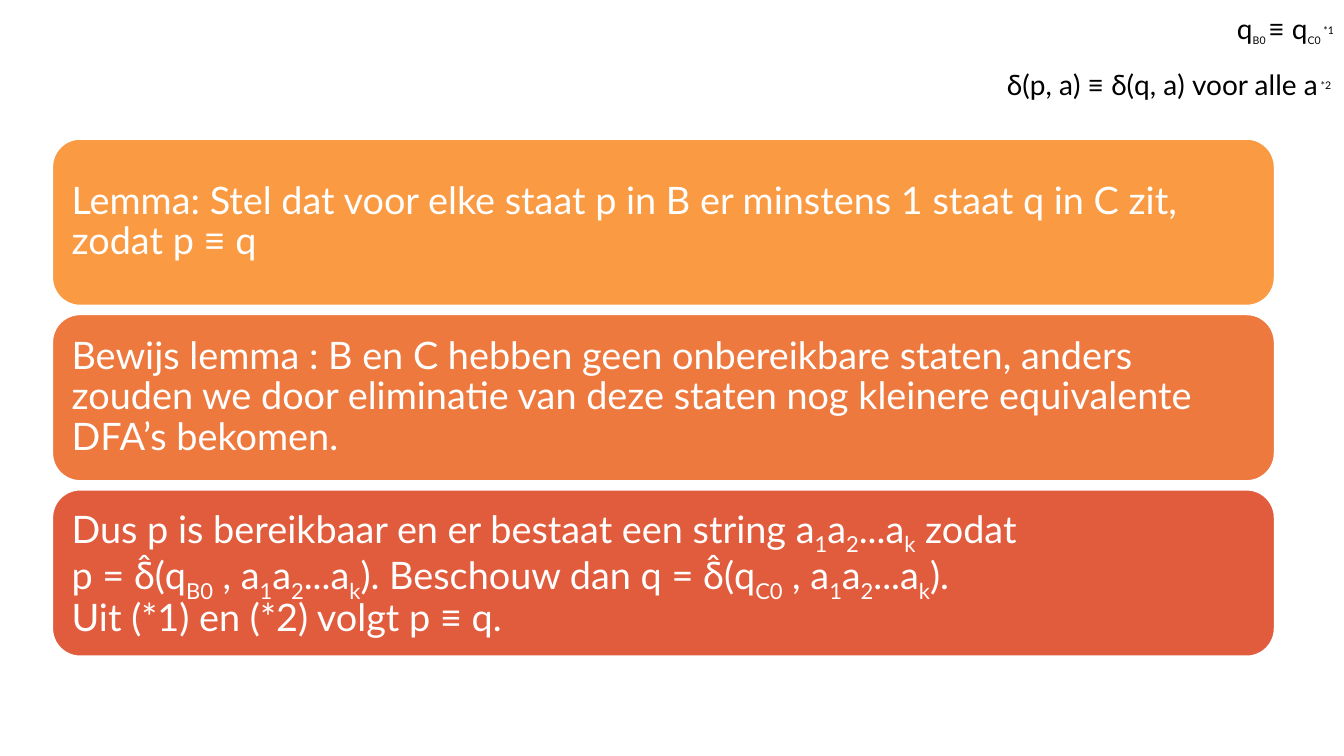
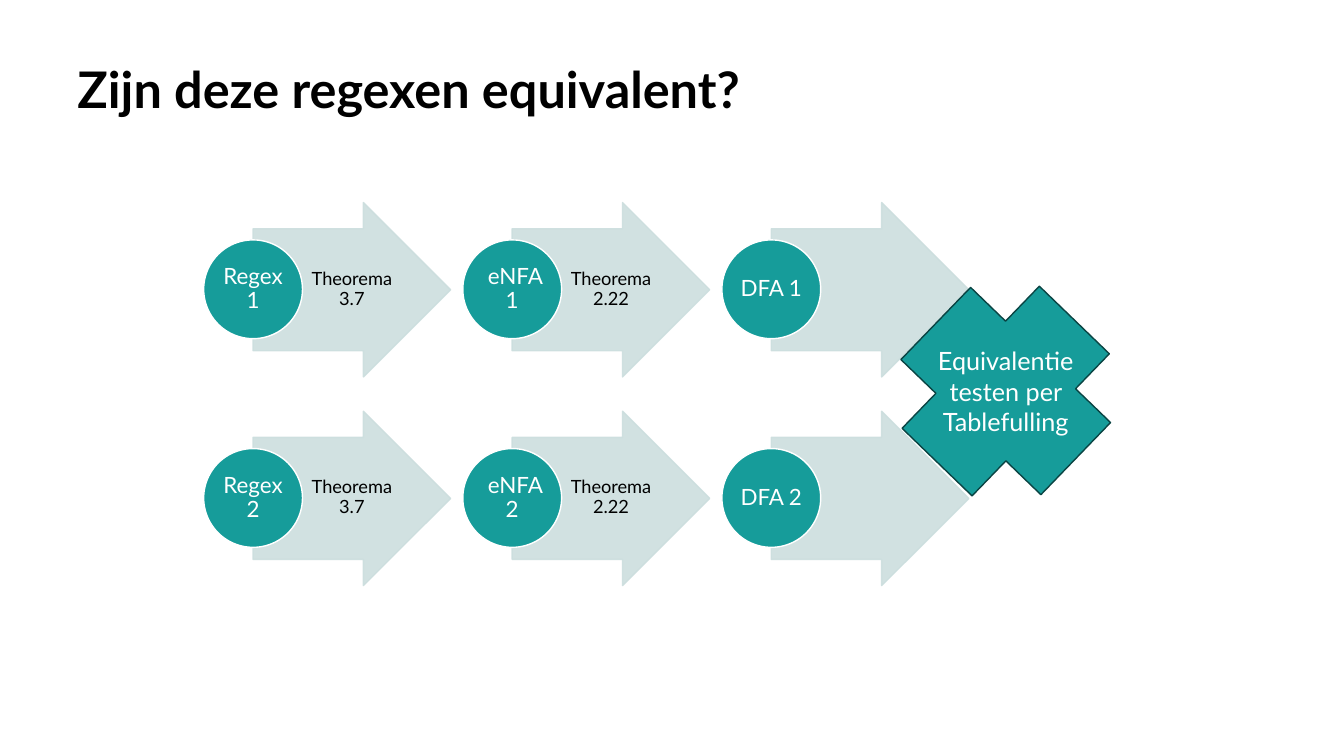
from lxml import etree
from pptx import Presentation
from pptx.dml.color import RGBColor
from pptx.enum.shapes import MSO_SHAPE
from pptx.enum.text import MSO_ANCHOR, PP_ALIGN
from pptx.oxml.ns import qn
from pptx.util import Inches, Pt

LEFT, CENTER, RIGHT = PP_ALIGN.LEFT, PP_ALIGN.CENTER, PP_ALIGN.RIGHT
TOP, MIDDLE = MSO_ANCHOR.TOP, MSO_ANCHOR.MIDDLE
ROUNDED, OVAL = MSO_SHAPE.ROUNDED_RECTANGLE, MSO_SHAPE.OVAL
ARROW, CROSS = MSO_SHAPE.RIGHT_ARROW, MSO_SHAPE.CROSS

FONT = "Lato"
COLORS = {
    "black": "000000",
    "white": "FFFFFF",
    "lemma": "FA9A42",
    "proof": "EE793F",
    "conclusion": "E15C3D",
    "teal": "169C9A",
    "dark_teal": "0A4443",
    "pale_teal": "CCDEDE",
}


def rgb(name):
    return RGBColor.from_string(COLORS[name])


def write_text(frame, *paragraphs, size, color="black", bold=False, align=LEFT,
               anchor=TOP, insets=(0.1, 0.05, 0.1, 0.05), spacing=0.9,
               before=0, script_size=None):
    frame.word_wrap = True
    frame.vertical_anchor = anchor
    frame.margin_left, frame.margin_top, frame.margin_right, frame.margin_bottom = map(Inches, insets)
    for index, content in enumerate(paragraphs):
        paragraph = frame.paragraphs[0] if index == 0 else frame.add_paragraph()
        paragraph.alignment = align
        paragraph.line_spacing = spacing
        paragraph.space_before = Pt(before)
        for line_number, line in enumerate(content.split("\n")):
            if line_number:
                paragraph.add_line_break()
            for position, chunk in enumerate(line.split("~")):
                if not chunk:
                    continue
                is_script = position % 2 == 1
                run = paragraph.add_run()
                run.text = chunk.lstrip("^")
                run.font.name = FONT
                run.font.size = Pt(script_size if is_script and script_size else size)
                run.font.bold = bold
                run.font.color.rgb = rgb(color)
                if is_script:
                    baseline = "30000" if chunk.startswith("^") else "-25000"
                    run.font._element.set("baseline", baseline)


class Deck:
    def __init__(self):
        self.presentation = Presentation()
        self.presentation.slide_width = Inches(13.33)
        self.presentation.slide_height = Inches(7.5)
        self.slide = None

    def new_slide(self):
        self.slide = self.presentation.slides.add_slide(self.presentation.slide_layouts[6])

    def text(self, box, *paragraphs, **style):
        caption = self.slide.shapes.add_textbox(*map(Inches, box))
        write_text(caption.text_frame, *paragraphs, **style)

    def title(self, wording):
        self.text((0.67, 0.6, 11.65, 1.24), wording, size=36, bold=True)

    def shape(self, preset, box, fill, line="white", opacity=None):
        figure = self.slide.shapes.add_shape(preset, *map(Inches, box))
        figure.shadow.inherit = False
        figure.fill.solid()
        figure.fill.fore_color.rgb = rgb(fill)
        figure.line.color.rgb = rgb(line)
        figure.line.width = Pt(1)
        if opacity:
            for color in figure._element.spPr.iter(qn("a:srgbClr")):
                etree.SubElement(color, qn("a:alpha")).set("val", str(opacity * 1000))
        return figure

    def panel(self, top, fill, statement):
        panel = self.shape(ROUNDED, (0.52, top, 12.12, 1.65), fill)
        write_text(panel.text_frame, statement, size=27, color="white",
                   anchor=MIDDLE, insets=(0.11,) * 4)

    def step(self, left, top, state, theorem):
        arrow = self.shape(ARROW, (left + 0.49, top, 1.96, 1.73), "pale_teal",
                           line="pale_teal", opacity=90)
        arrow.adjustments[0] = 0.7
        arrow.adjustments[1] = 0.5
        if theorem:
            self.text((left + 0.98, top + 0.26, 0.96, 1.2), theorem, size=13,
                      align=CENTER, anchor=MIDDLE, insets=(0.04, 0.01, 0.02, 0.01))
        circle = self.shape(OVAL, (left, top + 0.37, 0.98, 0.98), "teal")
        write_text(circle.text_frame, state, size=16, color="white", align=CENTER,
                   anchor=MIDDLE, insets=(0.01,) * 4)


def build_lemma(deck):
    deck.new_slide()
    statements = [
        ("lemma", "Lemma: Stel dat voor elke staat p in B er minstens 1 staat q in C zit, zodat p ≡ q"),
        ("proof", "Bewijs lemma : B en C hebben geen onbereikbare staten, anders zouden we door "
                  "eliminatie van deze staten nog kleinere equivalente DFA’s bekomen."),
        ("conclusion", "Dus p is bereikbaar en er bestaat een string a~1~a~2~...a~k~ zodat\n"
                       "p = δ̂(q~B0~ , a~1~a~2~...a~k~). Beschouw dan q = δ̂(q~C0~ , a~1~a~2~...a~k~).\n"
                       "Uit (*1) en (*2) volgt p ≡ q."),
    ]
    for row, (fill, statement) in enumerate(statements):
        deck.panel(1.38 + 1.74 * row, fill, statement)
    deck.text((8.49, 0, 4.84, 1.67), "q~B0 ~≡ q~C0 ~~^*1~",
              "δ(p, a) ≡ δ(q, a) voor alle a~^ *2 ~",
              size=20, script_size=13, align=RIGHT, spacing=1.2, before=10)


def build_equivalence(deck):
    deck.new_slide()
    deck.title("Zijn deze regexen equivalent?")
    steps = [("Regex", "Theorema 3.7"), (" eNFA", "Theorema 2.22"), ("DFA", None)]
    for row in range(2):
        for column, (state, theorem) in enumerate(steps):
            deck.step(2.02 + 2.57 * column, 2.01 + 2.07 * row, f"{state} {row + 1}", theorem)
    test = deck.shape(CROSS, (9.01, 2.9, 1.93, 1.96), "teal", line="dark_teal")
    test.rotation = 44
    deck.text((9.12, 3.38, 1.71, 1.01), "Equivalentie testen per Tablefulling",
              size=18, color="white", align=CENTER, spacing=1.0)


def main():
    deck = Deck()
    build_lemma(deck)
    build_equivalence(deck)
    deck.presentation.save("out.pptx")


if __name__ == "__main__":
    main()
